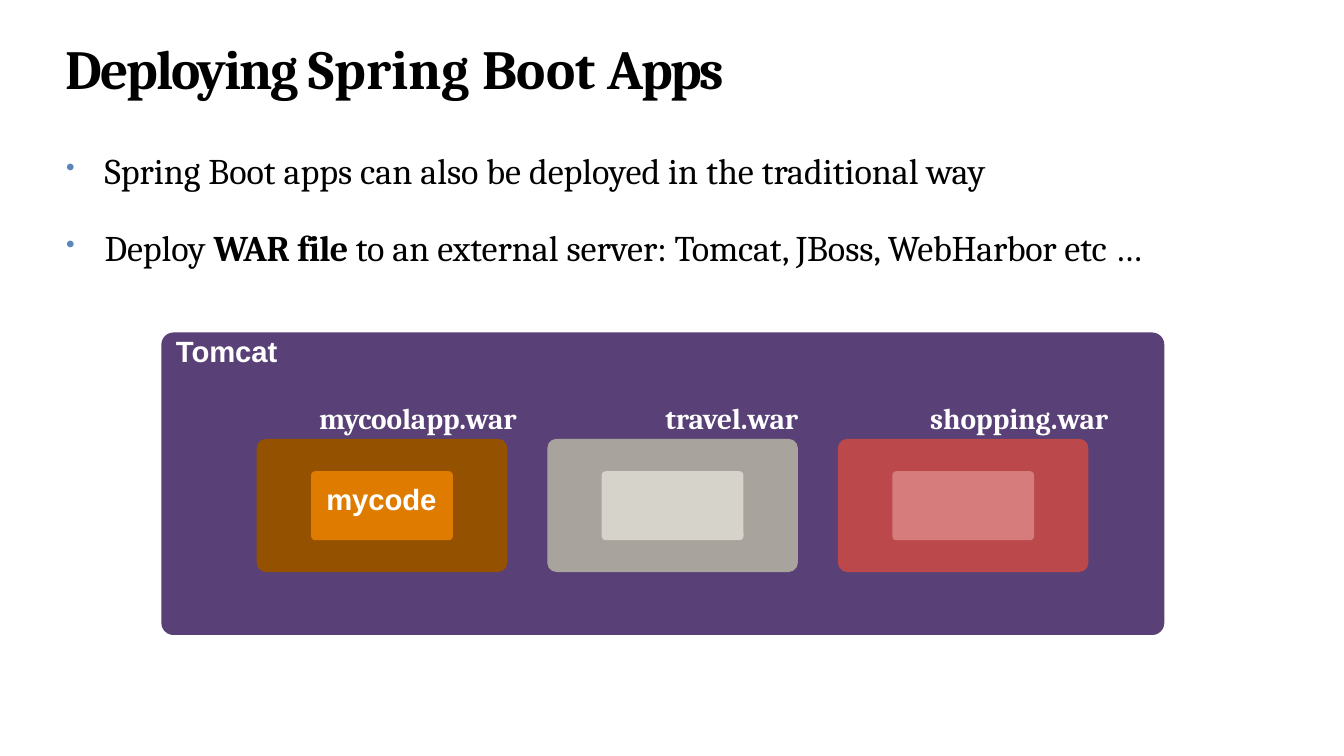
from dataclasses import dataclass

from lxml.etree import SubElement
from pptx import Presentation
from pptx.dml.color import RGBColor
from pptx.enum.shapes import MSO_SHAPE as Preset
from pptx.enum.text import MSO_ANCHOR as Anchor
from pptx.oxml.ns import qn
from pptx.util import Inches, Pt

UNIT = Inches(0.1)
COLUMNS, ROWS = 219.9, 123.7
SERIF, SANS = "Cambria", "Arial"

BLACK = RGBColor(0x00, 0x00, 0x00)
WHITE = RGBColor(0xFF, 0xFF, 0xFF)
BULLET_BLUE = RGBColor(0x5C, 0x86, 0xB9)
PURPLE = RGBColor(0x59, 0x40, 0x76)
BROWN = RGBColor(0x94, 0x52, 0x00)
ORANGE = RGBColor(0xDF, 0x7C, 0x00)
GREY = RGBColor(0xA8, 0xA4, 0x9D)
LIGHT_GREY = RGBColor(0xD6, 0xD3, 0xCB)
RED = RGBColor(0xBB, 0x48, 0x4A)
PINK = RGBColor(0xD6, 0x7C, 0x7C)

TITLE = [("Deploying ", True, -2.4), ("Spring Boot ", True, 0), ("Apps", True, -2.8)]
BULLETS = [
    [("Spring Boot apps can also be deployed in the traditional ", False, 0),
     ("way", False, -0.2)],
    [("Deploy ", False, 0), ("WAR ", True, -0.3), ("file ", True, -0.7),
     ("to an external server: ", False, 0), ("Tomcat, ", False, -0.2),
     ("JBoss, ", False, 0), ("WebHarbor ", False, -0.3),
     ("etc ", False, 0), ("…", False, -0.5)],
]
APPS = [
    ("mycoolapp.war", 10.2, BROWN, ORANGE, "mycode"),
    ("travel.war", 19.3, GREY, LIGHT_GREY, ""),
    ("shopping.war", 15.1, RED, PINK, ""),
]


@dataclass
class Box:
    """An area of the slide in grid columns and rows."""
    left: float
    top: float
    width: float
    height: float

    def inside(self, left, top, width, height):
        """Return an area placed relative to this one."""
        return Box(self.left + left, self.top + top, width, height)

    def lengths(self):
        """Return the four lengths that python-pptx expects."""
        return [round(value * UNIT)
                for value in (self.left, self.top, self.width, self.height)]


def add_text_frame(page, box, anchor=Anchor.TOP):
    """Add a text box without insets and return its frame."""
    frame = page.shapes.add_textbox(*box.lengths()).text_frame
    frame.margin_left = frame.margin_right = frame.margin_top = frame.margin_bottom = 0
    frame.word_wrap = True
    frame.vertical_anchor = anchor
    return frame


def add_spans(para, spans, size, color, font=SERIF):
    """Add runs given as wording, bold and letter spacing."""
    for wording, bold, spacing in spans:
        span = para.add_run()
        span.text = wording
        span.font.name, span.font.size, span.font.bold = font, Pt(size), bold
        span.font.color.rgb = color
        if spacing:
            span._r.get_or_add_rPr().set("spc", str(round(spacing * 100)))


def add_bullet(para):
    """Give a paragraph a hanging blue bullet."""
    props = para._p.get_or_add_pPr()
    props.set("marL", str(Inches(0.64)))
    props.set("indent", str(-Inches(0.63)))
    color = SubElement(props, qn("a:buClr"))
    SubElement(color, qn("a:srgbClr"), val=str(BULLET_BLUE))
    SubElement(props, qn("a:buSzPct"), val="71000")
    SubElement(props, qn("a:buChar"), char="•")


def add_tile(page, box, color, rounding):
    """Add a plain rounded rectangle."""
    tile = page.shapes.add_shape(Preset.ROUNDED_RECTANGLE, *box.lengths())
    tile.adjustments[0] = rounding
    tile.shadow.inherit = False
    tile.fill.solid()
    tile.fill.fore_color.rgb = color
    tile.line.fill.background()


def add_label(page, box, wording, font):
    """Add a bold white label centred in height."""
    frame = add_text_frame(page, box, Anchor.MIDDLE)
    add_spans(frame.paragraphs[0], [(wording, True, -0.1)], 34.5, WHITE, font)


def add_title(page, box):
    """Add the slide title."""
    add_spans(add_text_frame(page, box).paragraphs[0], TITLE, 65, BLACK)


def add_bullets(page, box):
    """Add the bulleted statements."""
    frame = add_text_frame(page, box)
    for index, spans in enumerate(BULLETS):
        para = frame.add_paragraph() if index else frame.paragraphs[0]
        add_bullet(para)
        if index:
            para.space_before = Pt(39.7)
        add_spans(para, spans, 42.5, BLACK)


def add_app(page, box, name, name_left, outer, inner, code):
    """Add one deployed archive with its name and core."""
    add_tile(page, box, outer, 0.07)
    core = box.inside(8.9, 5.3, 23.2, 11.3)
    add_tile(page, core, inner, 0.06)
    add_label(page, box.inside(name_left, -6.4, 36, 6), name, SERIF)
    if code:
        add_label(page, core.inside(2.5, 0, 20, 9), code, SANS)


def add_server(page, box):
    """Add the server with its row of archives."""
    add_tile(page, box, PURPLE, 0.04)
    add_label(page, box.inside(2.4, 0, 40, 5.9), "Tomcat", SANS)
    for index, app in enumerate(APPS):
        add_app(page, box.inside(15.6 + 47.55 * index, 17.4, 41, 21.8), *app)


def main():
    """Build and save the deck."""
    deck = Presentation()
    deck.slide_width, deck.slide_height = round(COLUMNS * UNIT), round(ROWS * UNIT)
    page = deck.slides.add_slide(deck.slide_layouts[6])
    add_title(page, Box(10.8, 5.6, 150, 11.2))
    add_server(page, Box(26.4, 54.4, 164.1, 49.5))
    add_bullets(page, Box(10.7, 24.3, 195, 24))
    deck.save("out.pptx")


if __name__ == "__main__":
    main()
